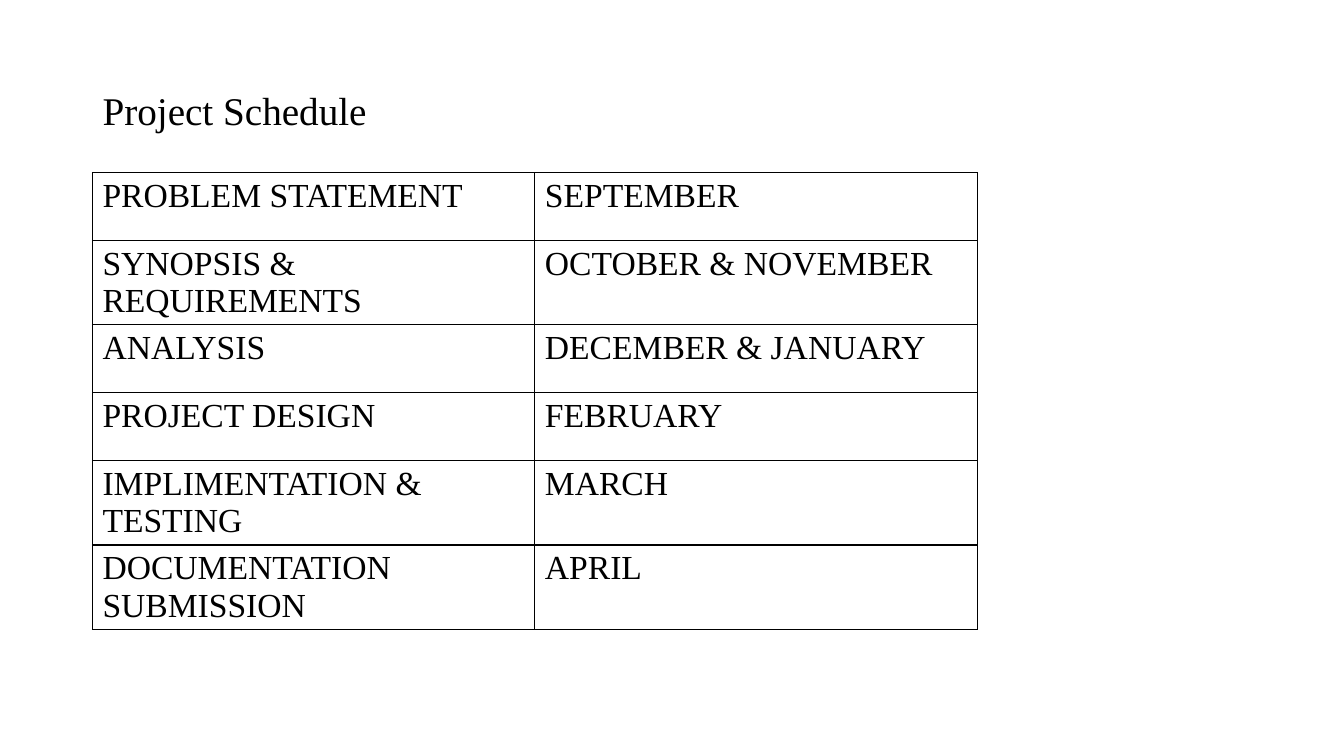
import pptx
import pptx.util
import pptx.dml.color
import pptx.enum.text
import pptx.oxml
import pptx.oxml.ns
from dataclasses import dataclass

Cm = pptx.util.Cm
Pt = pptx.util.Pt


@dataclass
class Theme:
    font: str = "Times New Roman"
    ink: str = "000000"
    paper: str = "FFFFFF"
    head: int = 28
    body: int = 24
    rule: int = 1


theme = Theme()


def write(para, text, size):
    run = para.add_run()
    run.text = text
    run.font.name = theme.font
    run.font.size = Pt(size)
    run.font.bold = False
    run.font.color.rgb = pptx.dml.color.RGBColor.from_string(theme.ink)


def frame(cell):
    props = cell._tc.get_or_add_tcPr()
    for side in ("lnL", "lnR", "lnT", "lnB"):
        props.append(pptx.oxml.parse_xml(
            f'<a:{side} {pptx.oxml.ns.nsdecls("a")} w="{Pt(theme.rule)}">'
            f'<a:solidFill><a:srgbClr val="{theme.ink}"/></a:solidFill>'
            f'</a:{side}>'))


deck = pptx.Presentation()
deck.slide_width = Cm(33.87)
deck.slide_height = Cm(19.05)
slide = deck.slides.add_slide(deck.slide_layouts[5])

title = slide.shapes.title
title.left, title.top = Cm(2.33), Cm(1.01)
title.width, title.height = Cm(29.21), Cm(3.68)
title.text_frame.vertical_anchor = pptx.enum.text.MSO_ANCHOR.MIDDLE
para = title.text_frame.paragraphs[0]
para.alignment = pptx.enum.text.PP_ALIGN.LEFT
para.line_spacing = 0.9
write(para, "Project Schedule", theme.head)

plan = [
    ("PROBLEM STATEMENT", "SEPTEMBER"),
    ("SYNOPSIS & REQUIREMENTS", "OCTOBER & NOVEMBER"),
    ("ANALYSIS", "DECEMBER & JANUARY"),
    ("PROJECT DESIGN", "FEBRUARY"),
    ("IMPLIMENTATION & TESTING", "MARCH"),
    ("DOCUMENTATION SUBMISSION", "APRIL"),
]
wide, high = Cm(11.15), Cm(1.71)
table = slide.shapes.add_table(
    len(plan), 2, Cm(2.33), Cm(4.35), wide * 2, high * len(plan)).table
table.first_row = False
table.horz_banding = False
for col in table.columns:
    col.width = wide
for row, texts in zip(table.rows, plan):
    row.height = high
    for cell, text in zip(row.cells, texts):
        frame(cell)
        cell.fill.solid()
        cell.fill.fore_color.rgb = pptx.dml.color.RGBColor.from_string(theme.paper)
        write(cell.text_frame.paragraphs[0], text, theme.body)

deck.save("out.pptx")
